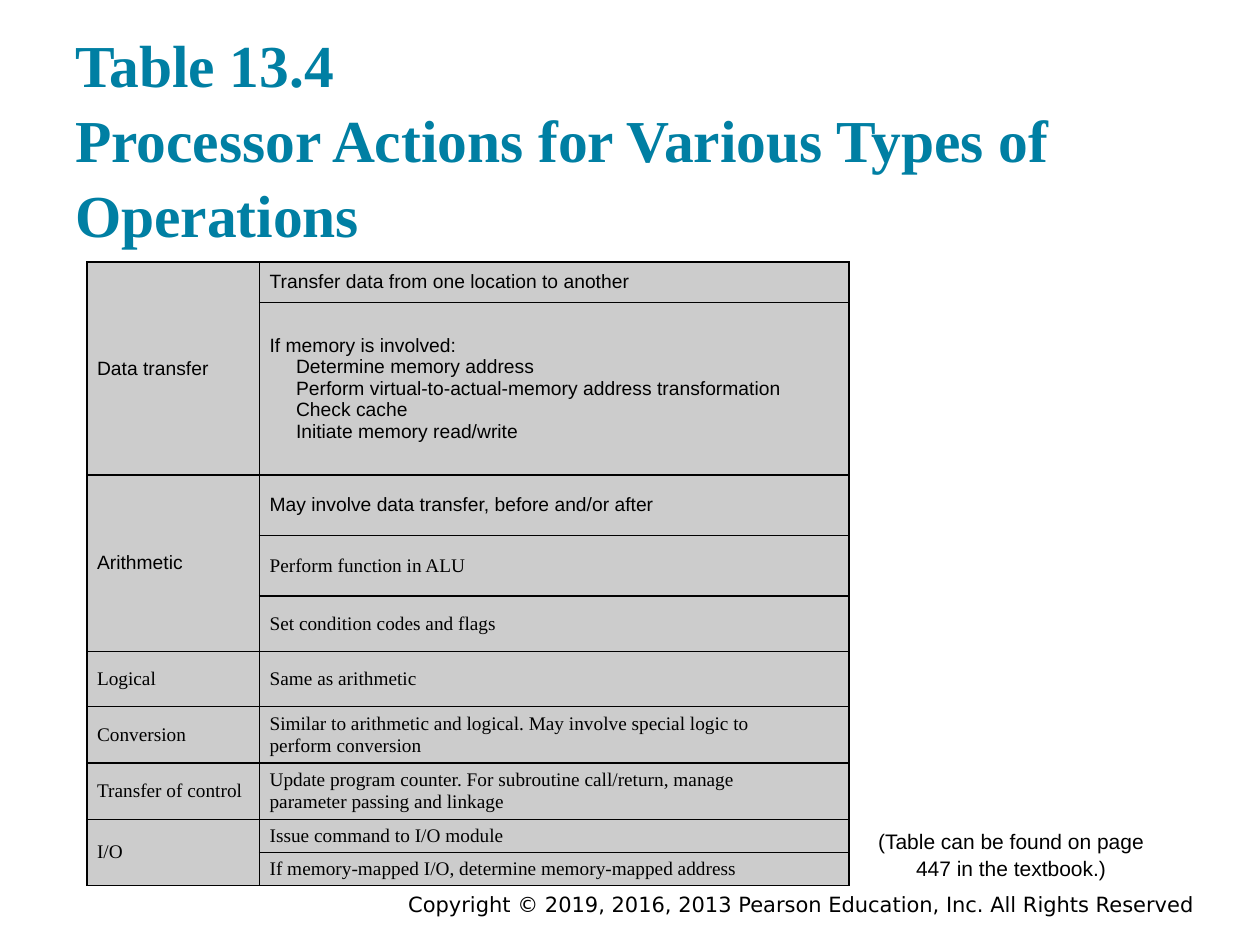
from lxml.etree import SubElement as Sub
from pptx import Presentation as Deck
from pptx.dml.color import RGBColor as Rgb
from pptx.enum.text import MSO_ANCHOR as Anchor, PP_ALIGN as Align
from pptx.oxml.ns import qn
from pptx.util import Inches, Pt

SERIF, SANS = "Times New Roman", "Arial"
BLACK, TEAL, GREY = "000000", "007FA3", "CCCCCC"
WIDTHS = [1.37, 4.68]
HEIGHTS = [0.32, 1.37, 0.48, 0.48, 0.44, 0.44, 0.42, 0.42, 0.25, 0.25]
GROUPS = [
    ("Data transfer", [
        ["Transfer data from one location to another"],
        ["If memory is involved:",
         "\tDetermine memory address",
         "\tPerform virtual-to-actual-memory address transformation",
         "\tCheck cache",
         "\tInitiate memory read/write"]]),
    ("Arithmetic", [
        ["May involve data transfer, before and/or after"],
        ["Perform function in ALU"],
        ["Set condition codes and flags"]]),
    ("Logical", [["Same as arithmetic"]]),
    ("Conversion", [
        ["Similar to arithmetic and logical. May involve special logic to",
         "perform conversion"]]),
    ("Transfer of control", [
        ["Update program counter. For subroutine call/return, manage",
         "parameter passing and linkage"]]),
    ("I/O", [
        ["Issue command to I/O module"],
        ["If memory-mapped I/O, determine memory-mapped address"]]),
]


def color(code):
    return Rgb.from_string(code)


class Page:
    def __init__(self, slide):
        self.slide = slide

    def run(self, para, text, size, face, ink=BLACK, bold=False):
        run = para.add_run()
        run.text = text
        font = run.font
        font.size, font.name, font.bold = Pt(size), face, bold
        font.color.rgb = color(ink)

    def text(self, box, lines, size, face, ink=BLACK, bold=False,
             align=Align.LEFT, anchor=Anchor.TOP, space=1.0):
        frame = self.slide.shapes.add_textbox(*map(Inches, box)).text_frame
        frame.word_wrap, frame.vertical_anchor = True, anchor
        para = frame.paragraphs[0]
        para.alignment, para.line_spacing = align, space
        for num, line in enumerate(lines):
            if num:
                para.add_line_break()
            self.run(para, line, size, face, ink, bold)

    def border(self, cell):
        props = cell._tc.get_or_add_tcPr()
        for spot, side in enumerate(("lnL", "lnR", "lnT", "lnB")):
            line = Sub(props, qn("a:" + side), w=str(Pt(1)))
            fill = Sub(line, qn("a:solidFill"))
            Sub(fill, qn("a:srgbClr"), val=BLACK)
            props.insert(spot, line)

    def cell(self, cell, lines, face):
        cell.vertical_anchor = Anchor.MIDDLE
        cell.margin_left = cell.margin_right = Inches(0.08)
        cell.margin_top = cell.margin_bottom = Inches(0.04)
        frame = cell.text_frame
        for num, line in enumerate(lines):
            para = frame.add_paragraph() if num else frame.paragraphs[0]
            if line.startswith("\t"):
                props = para._p.get_or_add_pPr()
                props.set("marL", str(Inches(0.21)))
                props.set("indent", str(-Inches(0.21)))
            self.run(para, line, 11, face)

    def table(self, left, top, groups):
        size = map(Inches, (left, top, sum(WIDTHS), sum(HEIGHTS)))
        table = self.slide.shapes.add_table(
            len(HEIGHTS), len(WIDTHS), *size).table
        table.first_row = table.horz_banding = False
        for col, width in zip(table.columns, WIDTHS):
            col.width = Inches(width)
        for row, height in zip(table.rows, HEIGHTS):
            row.height = Inches(height)
        for cell in table.iter_cells():
            cell.fill.solid()
            cell.fill.fore_color.rgb = color(GREY)
            self.border(cell)
        row = 0
        for name, items in groups:
            head = table.cell(row, 0)
            if len(items) > 1:
                head.merge(table.cell(row + len(items) - 1, 0))
            self.cell(head, [name], SANS if row < 3 else SERIF)
            for lines in items:
                face = SANS if row < 3 else SERIF
                self.cell(table.cell(row, 1), lines, face)
                row += 1


def main():
    deck = Deck()
    deck.slide_width, deck.slide_height = Inches(10), Inches(7.5)
    page = Page(deck.slides.add_slide(deck.slide_layouts[6]))
    page.text((1.75, 7.03, 7.83, 0.22),
              ["Copyright © 2019, 2016, 2013 Pearson Education, Inc. "
               "All Rights Reserved"],
              12, "DejaVu Sans", align=Align.RIGHT)
    page.text((0.5, 0.27, 9, 1.76),
              ["Table 13.4", "Processor Actions for Various Types of Operations"],
              34, SERIF, TEAL, True, anchor=Anchor.BOTTOM, space=1.05)
    page.table(0.69, 2.08, GROUPS)
    page.text((6.73, 6.51, 2.59, 0.59),
              ["(Table can be found on page 447 in the textbook.)"],
              12, SANS, align=Align.CENTER, space=1.07)
    deck.save("out.pptx")


if __name__ == "__main__":
    main()
